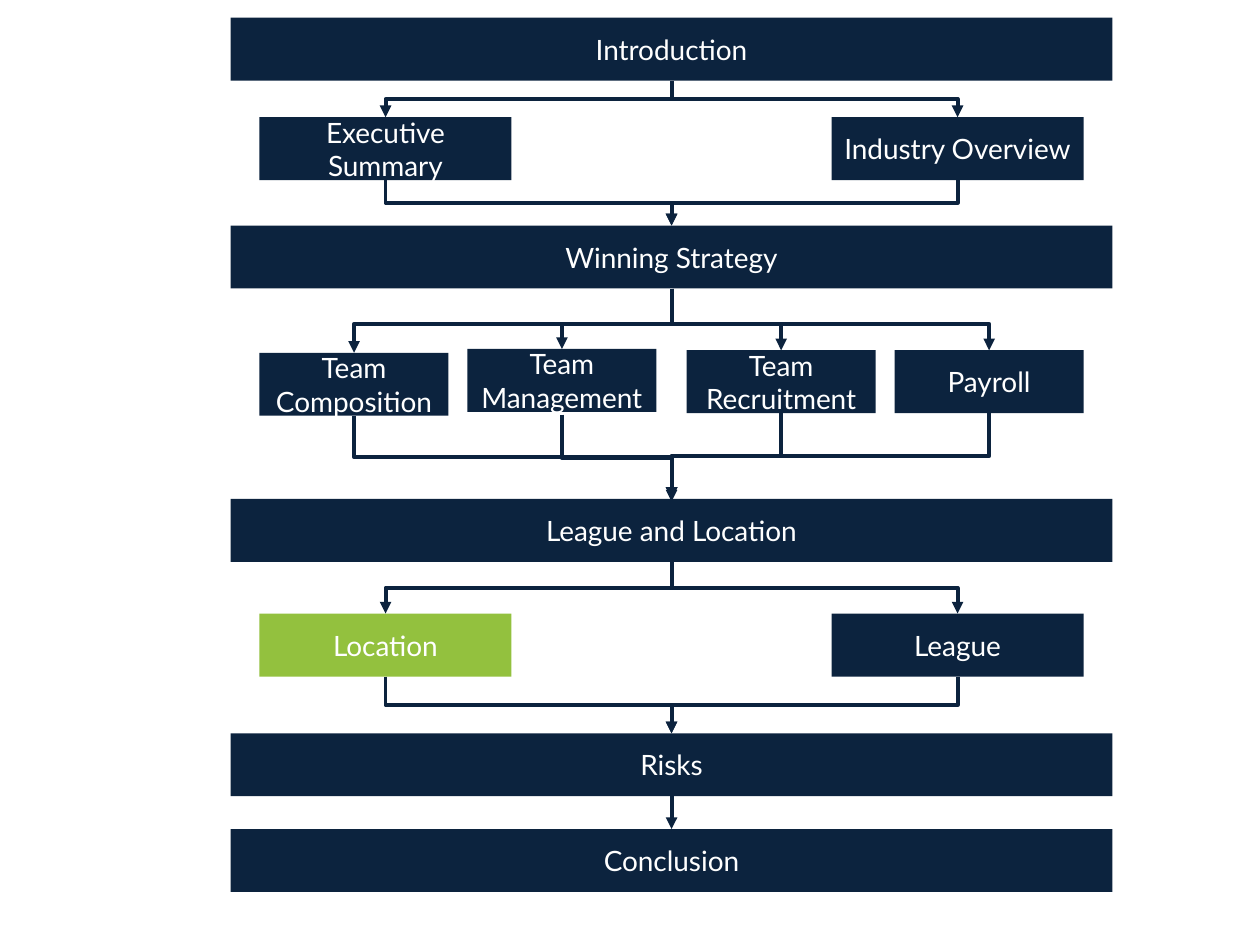
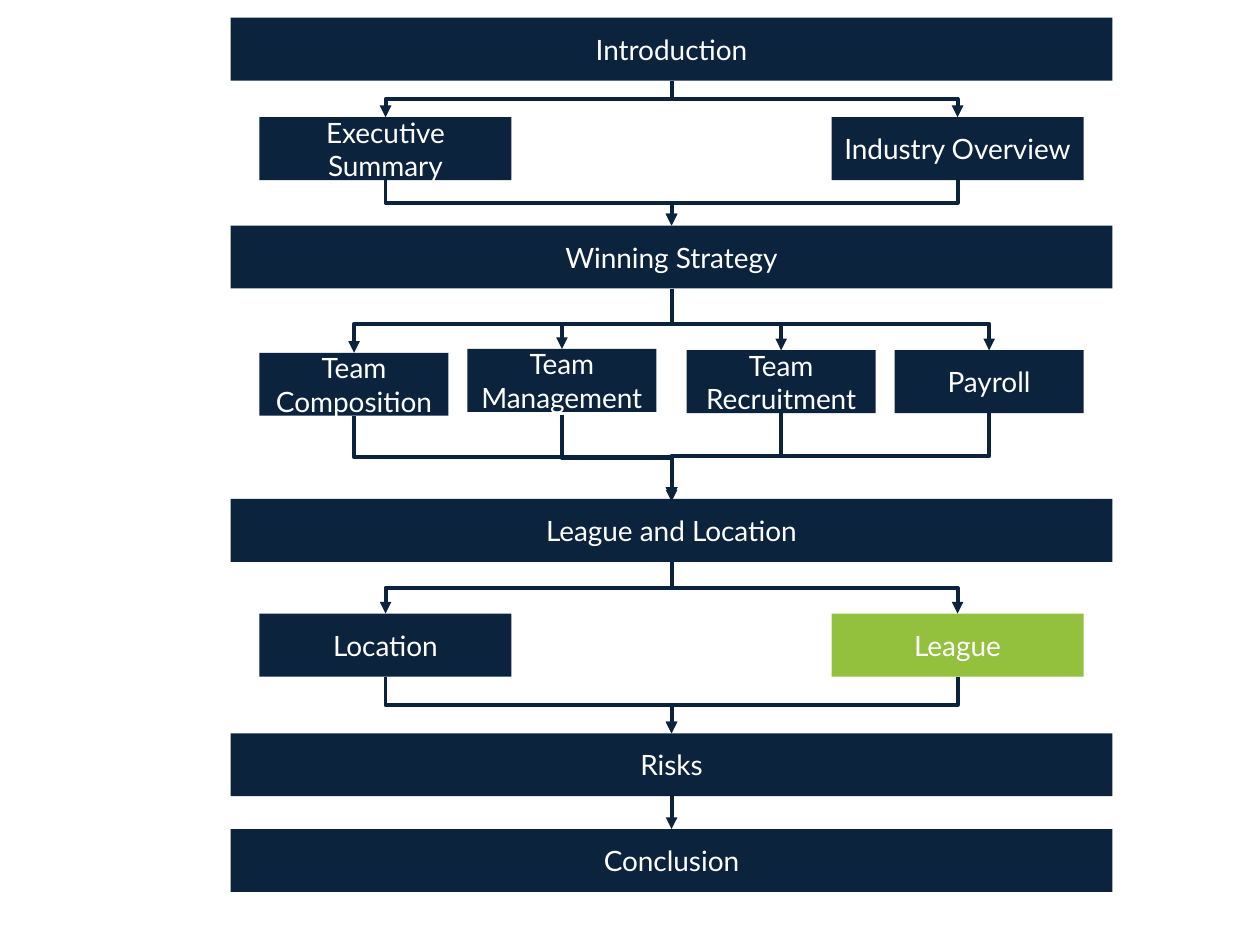
from dataclasses import dataclass

from lxml.etree import SubElement
from pptx import Presentation
from pptx.dml.color import RGBColor
from pptx.enum.shapes import MSO_CONNECTOR, MSO_SHAPE
from pptx.enum.text import MSO_ANCHOR, PP_ALIGN
from pptx.oxml.ns import qn
from pptx.util import Inches, Pt

NAVY = RGBColor(0x0C, 0x23, 0x3E)
GREEN = RGBColor(0x93, 0xC1, 0x3E)
WHITE = RGBColor(0xFF, 0xFF, 0xFF)

SLIDE_WIDTH, SLIDE_HEIGHT = 10, 7.5
CENTRE = 5.33
BAR_WIDTH, HALF_WIDTH, QUARTER_WIDTH = 7, 2, 1.5
BOX_HEIGHT = 0.5
HALF_OFFSET = 2.27
INNER_OFFSET, OUTER_OFFSET = 0.87, 2.52

FONT_FORMAT = {"name": "Lato", "size": Pt(16)}
FRAME_FORMAT = {"vertical_anchor": MSO_ANCHOR.MIDDLE, "word_wrap": True}


@dataclass
class Branch:
    name: str
    offset: float
    top: float
    width: float
    exit_shift: float = 0


@dataclass
class Section:
    name: str
    top: float
    branches: tuple = ()
    bend: float = None


def half_branches(top, left_name, right_name):
    return (
        Branch(left_name, -HALF_OFFSET, top, HALF_WIDTH),
        Branch(right_name, HALF_OFFSET, top, HALF_WIDTH),
    )


SECTIONS = (
    Section("Introduction", 0.14, half_branches(0.93, "Executive Summary", "Industry Overview")),
    Section("Winning Strategy", 1.79, (
        Branch("Team Composition", -OUTER_OFFSET, 2.8, QUARTER_WIDTH),
        Branch("Team Management", -INNER_OFFSET, 2.77, QUARTER_WIDTH, 0.02),
        Branch("Team Recruitment", INNER_OFFSET, 2.78, QUARTER_WIDTH),
        Branch("Payroll", OUTER_OFFSET, 2.78, QUARTER_WIDTH),
    ), 2.57),
    Section("League and Location", 3.96, half_branches(4.87, "Location", "League")),
    Section("Risks", 5.82),
    Section("Conclusion", 6.58),
)


def apply_format(target, values):
    for name, value in values.items():
        setattr(target, name, value)


def add_box(slide, name, centre, top, width, color):
    shape = slide.shapes.add_shape(
        MSO_SHAPE.RECTANGLE, Inches(centre - width / 2), Inches(top),
        Inches(width), Inches(BOX_HEIGHT))
    shape.shadow.inherit = False
    shape.fill.solid()
    shape.fill.fore_color.rgb = color
    shape.line.fill.background()
    apply_format(shape.text_frame, FRAME_FORMAT)
    paragraph = shape.text_frame.paragraphs[0]
    paragraph.text = name
    paragraph.alignment = PP_ALIGN.CENTER
    apply_format(paragraph.font, FONT_FORMAT)
    paragraph.font.color.rgb = WHITE


def add_arrow(slide, kind, start_x, start_y, end_x, end_y):
    connector = slide.shapes.add_connector(
        kind, Inches(start_x), Inches(start_y), Inches(end_x), Inches(end_y))
    connector.line.color.rgb = NAVY
    connector.line.width = Pt(2.25)
    SubElement(connector.line._get_or_add_ln(), qn("a:tailEnd"), type="triangle")
    SubElement(connector._element.spPr, qn("a:effectLst"))
    return connector


def add_elbow(slide, start_x, start_y, end_x, end_y, bend=None):
    middle_x, middle_y = (start_x + end_x) / 2, (start_y + end_y) / 2
    drop, span = end_y - start_y, abs(end_x - start_x)
    goes_right = end_x > start_x
    reach = -drop / 2 if goes_right else drop / 2
    connector = add_arrow(
        slide, MSO_CONNECTOR.ELBOW, middle_x - reach, middle_y - span / 2,
        middle_x + reach, middle_y + span / 2)
    properties = connector._element.spPr
    turn = 270 if goes_right else 90
    properties.find(qn("a:xfrm")).set("rot", str(turn * 60000))
    if bend is not None:
        share = round((bend - start_y) / drop * 100000)
        adjustments = properties.find(qn("a:prstGeom")).find(qn("a:avLst"))
        SubElement(adjustments, qn("a:gd"), name="adj1", fmla=f"val {share}")


def add_boxes(slide, section, highlight):
    add_box(slide, section.name, CENTRE, section.top, BAR_WIDTH, NAVY)
    for branch in section.branches:
        color = GREEN if branch.name == highlight else NAVY
        add_box(slide, branch.name, CENTRE + branch.offset, branch.top, branch.width, color)


def add_links(slide, section, following):
    bottom = section.top + BOX_HEIGHT
    for branch in section.branches:
        centre = CENTRE + branch.offset
        branch_exit = branch.top + BOX_HEIGHT + branch.exit_shift
        add_elbow(slide, CENTRE, bottom, centre, branch.top, section.bend)
        add_elbow(slide, centre, branch_exit, CENTRE, following.top + branch.exit_shift)
    if not section.branches:
        add_arrow(slide, MSO_CONNECTOR.STRAIGHT, CENTRE, bottom, CENTRE, following.top)


def add_roadmap(presentation, highlight):
    slide = presentation.slides.add_slide(presentation.slide_layouts[6])
    for section in SECTIONS:
        add_boxes(slide, section, highlight)
    for section, following in zip(SECTIONS, SECTIONS[1:]):
        add_links(slide, section, following)


def main():
    presentation = Presentation()
    presentation.slide_width = Inches(SLIDE_WIDTH)
    presentation.slide_height = Inches(SLIDE_HEIGHT)
    for highlight in ("Location", "League"):
        add_roadmap(presentation, highlight)
    presentation.save("out.pptx")


if __name__ == "__main__":
    main()
